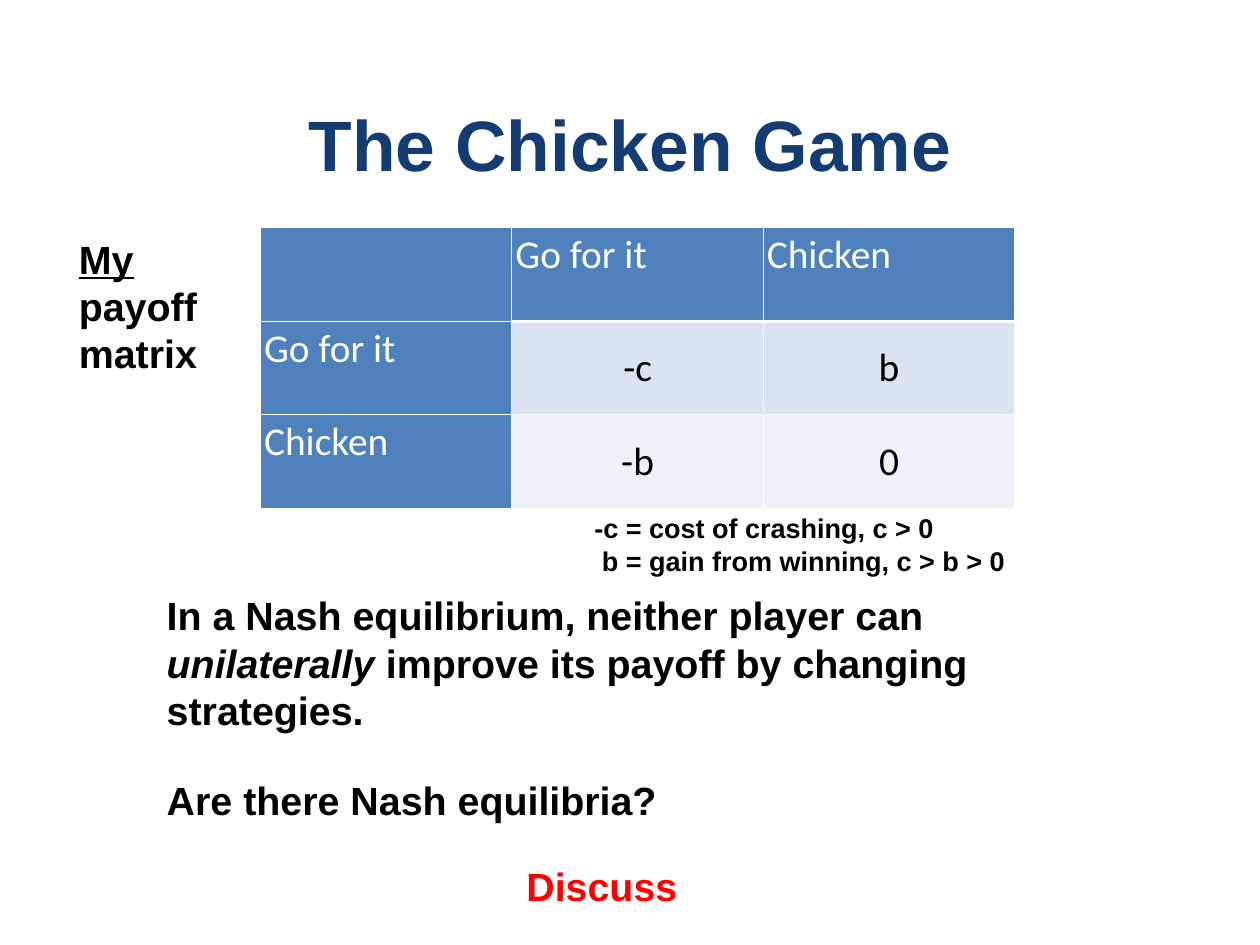
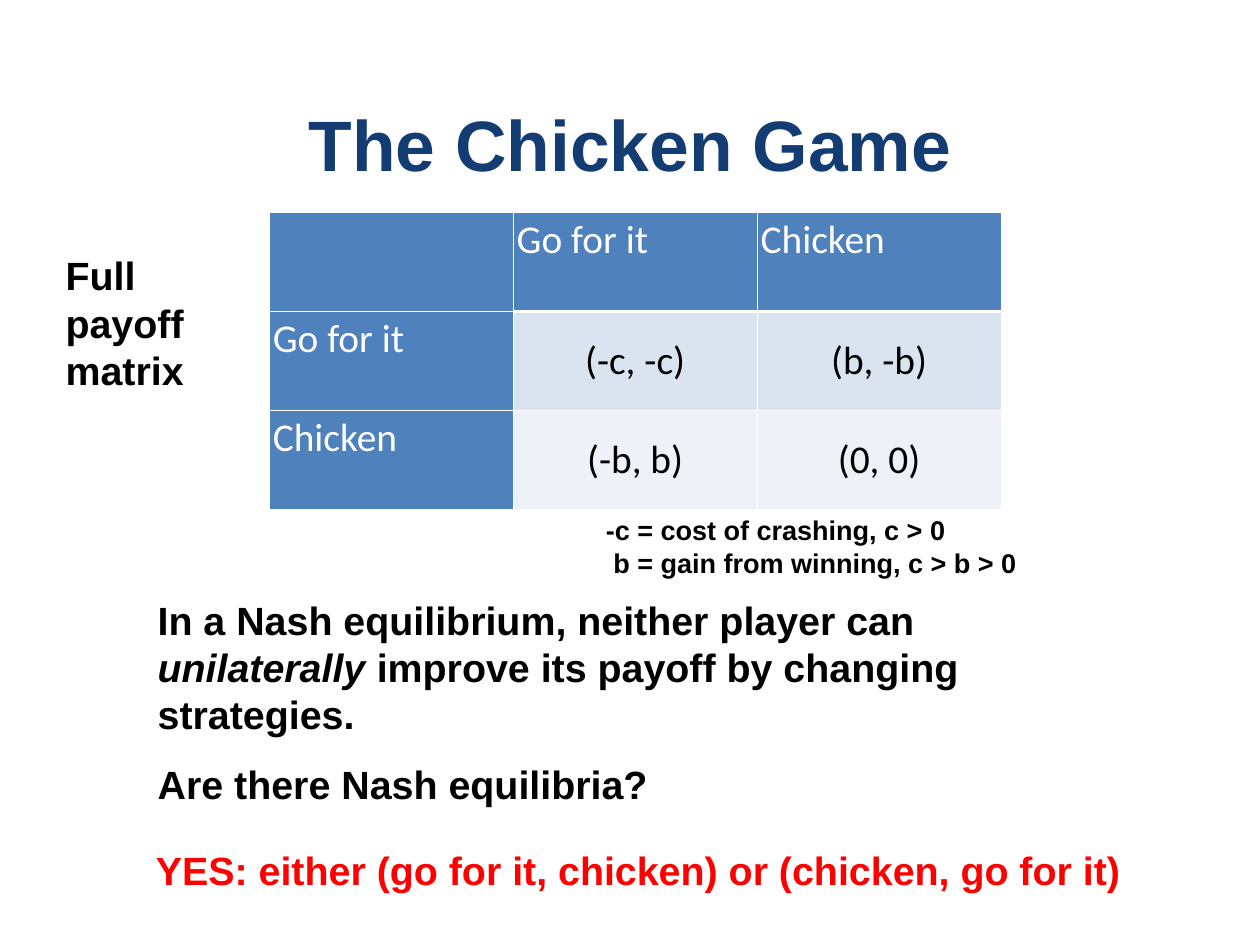
"""Build two slides on the payoff matrices of the chicken game."""
from dataclasses import dataclass
from typing import NamedTuple

from lxml import etree
from pptx import Presentation
from pptx import util as u
from pptx.dml import color
from pptx.enum import text
from pptx.oxml import ns

COLOURS = {
    "title": "133C73",
    "ink": "000000",
    "answer": "FF0000",
    "white": "FFFFFF",
    "header": "4F81BD",
    "odd_row": "DAE4F1",
    "even_row": "EEF2F8",
}
TITLE_SIZE, BODY_SIZE, LEGEND_SIZE = 58, 32, 22
STRATEGIES = ("Go for it", "Chicken")
LEGEND = "-c = cost of crashing, c > 0\n b = gain from winning, c > b > 0"
QUESTION = "Are there Nash equilibria?"


class Box(NamedTuple):
    left: float
    top: float
    width: float
    height: float

    def lengths(self) -> list[u.Length]:
        return [u.Cm(value) for value in self]


class Piece(NamedTuple):
    words: str
    italic: bool = False
    underline: bool = False


RULE = (
    Piece("In a Nash equilibrium, neither player can "),
    Piece("unilaterally ", italic=True),
    Piece("improve its payoff by changing strategies."),
)


@dataclass
class GameSlide:
    label: tuple[Piece, ...]
    label_box: Box
    payoffs: tuple[tuple[str, str], tuple[str, str]]
    matrix_box: Box
    legend_box: Box
    rule_box: Box
    question_box: Box
    answer: str
    answer_box: Box


GAME_SLIDES = (
    GameSlide(
        label=(Piece("My", underline=True), Piece(" payoff matrix")),
        label_box=Box(2.26, 6.71, 3.81, 4.11),
        payoffs=(("-c", "b"), ("-b", "0")),
        matrix_box=Box(7.47, 6.53, 21.62, 8.05),
        legend_box=Box(16.94, 14.58, 12.12, 2.08),
        rule_box=Box(4.78, 16.99, 26.59, 4.01),
        question_box=Box(4.78, 22.25, 26.59, 1.35),
        answer="Discuss",
        answer_box=Box(15.09, 24.71, 15.06, 1.37),
    ),
    GameSlide(
        label=(Piece("Full payoff matrix"),),
        label_box=Box(1.88, 7.19, 5.18, 4.11),
        payoffs=(("(-c, -c)", "(b, -b)"), ("(-b, b)", "(0, 0)")),
        matrix_box=Box(7.72, 6.1, 20.98, 8.51),
        legend_box=Box(17.27, 14.63, 12.12, 2.08),
        rule_box=Box(4.52, 17.12, 26.59, 4.01),
        question_box=Box(4.52, 21.79, 26.59, 1.35),
        answer="YES: either (go for it, chicken) or (chicken, go for it)",
        answer_box=Box(4.47, 24.26, 29.18, 1.37),
    ),
)


def rgb(name: str) -> color.RGBColor:
    return color.RGBColor.from_string(COLOURS[name])


def set_margins(target, margin: float) -> None:
    target.margin_left = target.margin_right = u.Cm(margin)
    target.margin_top = target.margin_bottom = u.Cm(margin)


def style_font(font, name: str, size: int, colour: str, bold: bool) -> None:
    font.name, font.size, font.bold = name, u.Pt(size), bold
    font.color.rgb = rgb(colour)


def add_text(slide, box: Box, pieces: tuple[Piece, ...], size: int = BODY_SIZE,
             colour: str = "ink", margin: float = 0,
             anchor=text.MSO_ANCHOR.MIDDLE, align=text.PP_ALIGN.LEFT) -> None:
    frame = slide.shapes.add_textbox(*box.lengths()).text_frame
    frame.word_wrap = True
    frame.vertical_anchor = anchor
    set_margins(frame, margin)
    frame.text = pieces[0].words
    for piece in pieces[1:]:
        frame.paragraphs[0].add_run().text = piece.words
    for paragraph in frame.paragraphs:
        paragraph.alignment = align
        for run, piece in zip(paragraph.runs, pieces):
            style_font(run.font, "Arial", size, colour, True)
            run.font.italic, run.font.underline = piece.italic, piece.underline


def add_borders(cell, top: int, bottom: int) -> None:
    properties = cell._tc.get_or_add_tcPr()
    for tag, points in (("lnL", 1), ("lnR", 1), ("lnT", top), ("lnB", bottom)):
        line = etree.SubElement(properties, ns.qn(f"a:{tag}"), w=str(u.Pt(points)))
        fill = etree.SubElement(line, ns.qn("a:solidFill"))
        etree.SubElement(fill, ns.qn("a:srgbClr"), val=COLOURS["white"])


def add_matrix(slide, box: Box, payoffs: tuple[tuple[str, str], ...]) -> None:
    rows = [("", *STRATEGIES)]
    rows += [(name, *values) for name, values in zip(STRATEGIES, payoffs)]
    table = slide.shapes.add_table(len(rows), len(rows[0]), *box.lengths()).table
    for row, values in enumerate(rows):
        for column, words in enumerate(values):
            cell = table.cell(row, column)
            is_header = row == 0 or column == 0
            add_borders(cell, top=3 if row == 1 and column else 1,
                        bottom=3 if row == 0 and column else 1)
            cell.fill.solid()
            cell.fill.fore_color.rgb = rgb(
                "header" if is_header else "odd_row" if row % 2 else "even_row")
            set_margins(cell, 0.1)
            cell.text = words
            paragraph = cell.text_frame.paragraphs[0]
            if not is_header:
                cell.vertical_anchor = text.MSO_ANCHOR.MIDDLE
                paragraph.alignment = text.PP_ALIGN.CENTER
            for run in paragraph.runs:
                style_font(run.font, "Calibri", BODY_SIZE,
                           "white" if is_header else "ink", False)


def add_game_slide(presentation, game: GameSlide) -> None:
    slide = presentation.slides.add_slide(presentation.slide_layouts[6])
    add_text(slide, Box(3.53, 0.71, 29.06, 6.78), (Piece("The Chicken Game"),),
             TITLE_SIZE, "title", 0.15, align=text.PP_ALIGN.CENTER)
    add_text(slide, game.label_box, game.label)
    add_matrix(slide, game.matrix_box, game.payoffs)
    add_text(slide, game.legend_box, (Piece(LEGEND),), LEGEND_SIZE, margin=0.1,
             anchor=text.MSO_ANCHOR.TOP)
    add_text(slide, game.rule_box, RULE)
    add_text(slide, game.question_box, (Piece(QUESTION),))
    add_text(slide, game.answer_box, (Piece(game.answer),), colour="answer")


def main() -> None:
    presentation = Presentation()
    presentation.slide_width = u.Cm(36.12)
    presentation.slide_height = u.Cm(27.1)
    for game in GAME_SLIDES:
        add_game_slide(presentation, game)
    presentation.save("out.pptx")


if __name__ == "__main__":
    main()
